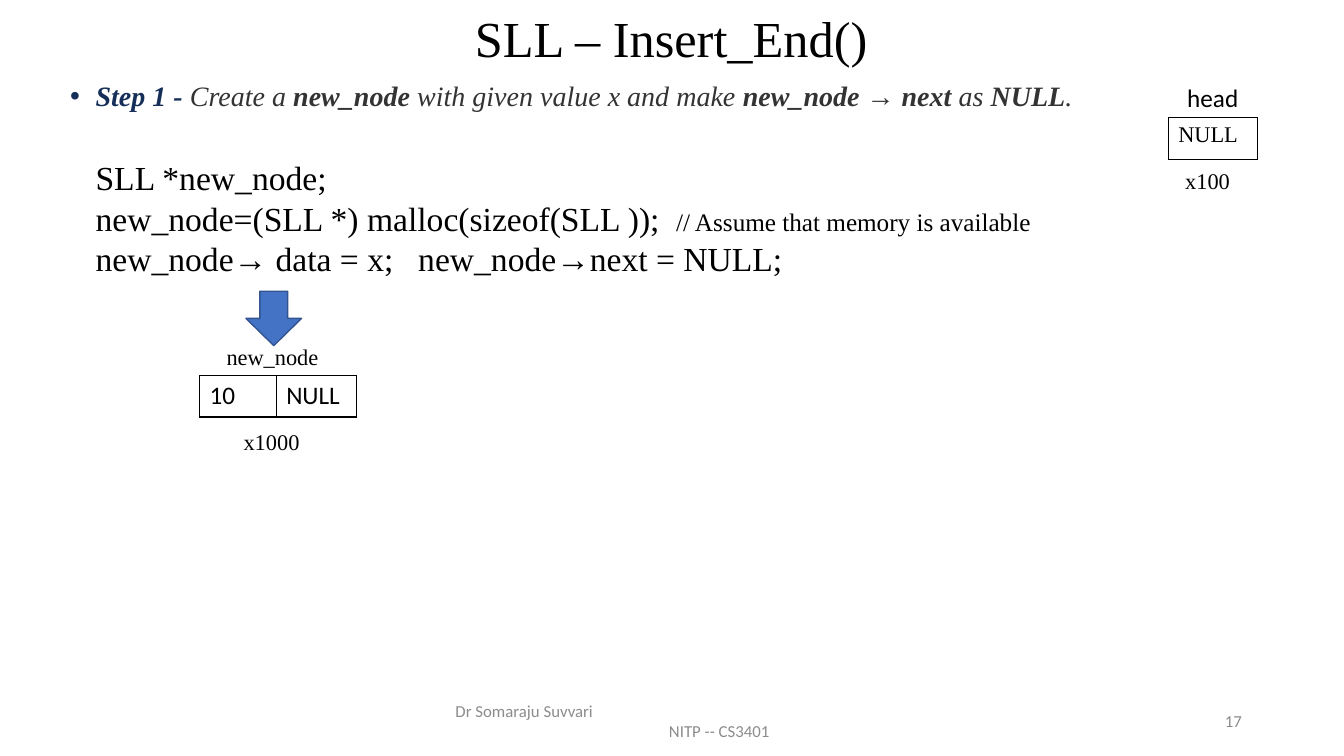
from lxml import etree
from pptx import Presentation
from pptx.dml.color import RGBColor
from pptx.enum.shapes import MSO_SHAPE
from pptx.enum.text import MSO_ANCHOR, PP_ALIGN
from pptx.oxml.ns import qn
from pptx.util import Cm, Pt

LEFT, CENTER = PP_ALIGN.LEFT, PP_ALIGN.CENTER
RIGHT, JUSTIFY = PP_ALIGN.RIGHT, PP_ALIGN.JUSTIFY
TOP, MIDDLE = MSO_ANCHOR.TOP, MSO_ANCHOR.MIDDLE
DOWN_ARROW = MSO_SHAPE.DOWN_ARROW
BLACK = RGBColor(0x00, 0x00, 0x00)
NAVY = RGBColor(0x16, 0x2F, 0x59)
CHARCOAL = RGBColor(0x33, 0x33, 0x33)
GREY = RGBColor(0x8C, 0x8C, 0x8C)
BLUE = RGBColor(0x44, 0x72, 0xC4)
DARK_BLUE = RGBColor(0x32, 0x54, 0x91)
SERIF, SANS = "Times New Roman", "Calibri"

# A paragraph is a list of runs; a run is (text, format changes).
TITLE = [[("SLL – Insert_End()", {})]]
BOLD = {"bold": True}
STEP = [[
    ("Step 1 -\u00a0", {"bold": True, "color": NAVY}),
    ("Create a\u00a0", {}),
    ("new_node ", BOLD),
    ("with given value x and\u00a0make ", {}),
    ("new_node → next", BOLD),
    ("\u00a0as\u00a0", {}),
    ("NULL", BOLD),
    (".", {}),
]]
CODE = [
    [("SLL *new_node;", {})],
    [("new_node=(SLL *) malloc(sizeof(SLL ));\t", {}),
     ("// Assume that memory is available", {"size": 18})],
    [("new_node→ data = x;\tnew_node→next = NULL;", {})],
]
CODE_TABS = [None, 14.63, 8.13]
AUTHOR, COURSE, PAGE = "Dr Somaraju Suvvari", "NITP -- CS3401", "17"
COURSE_INDENT = 5.38

# Labels: text, box in cm, font, size
LABELS = [
    ("new_node", (5.46, 8.51, 2.87, 0.94), SERIF, 16),
    ("x1000", (5.89, 10.67, 1.98, 0.94), SERIF, 16),
    ("head", (29.67, 1.96, 2.03, 1.02), SANS, 18),
    ("x100", (29.62, 4.09, 2.11, 0.94), SERIF, 16),
]
# Nodes: left, top, cells as (text, width), font, size
NODES = [
    (5.03, 9.47, [("10", 1.93), ("NULL", 2.03)], SANS, 18),
    (29.44, 2.97, [("NULL", 2.26)], SERIF, 16),
]
NODE_HEIGHT = 1.04
ARROW_BOX = (6.2, 7.34, 1.4, 1.37)


def write(frame, text, font=SERIF, size=16, color=BLACK, italic=False,
          align=LEFT, spacing=None, before=0):
    """Fill a text frame with a string or with paragraphs of runs."""
    paragraphs = [[(text, {})]] if isinstance(text, str) else text
    for index, runs in enumerate(paragraphs):
        paragraph = frame.add_paragraph() if index else frame.paragraphs[0]
        paragraph.alignment = align
        paragraph.space_before = Pt(before)
        if spacing:
            paragraph.line_spacing = spacing
        for words, changes in runs:
            run = paragraph.add_run()
            run.text = words
            run.font.name = font
            run.font.size = Pt(changes.get("size", size))
            run.font.bold = changes.get("bold", False)
            run.font.italic = italic
            run.font.color.rgb = changes.get("color", color)


def add_text(box, text, anchor=TOP, **style):
    """Add a wrapping text box and return its paragraphs."""
    frame = slide.shapes.add_textbox(*map(Cm, box)).text_frame
    frame.word_wrap = True
    frame.vertical_anchor = anchor
    write(frame, text, **style)
    return frame.paragraphs


def indent(paragraph, margin, first=0):
    """Set the left margin and first-line indent; return the properties."""
    properties = paragraph._p.get_or_add_pPr()
    properties.set("marL", str(Cm(margin)))
    properties.set("indent", str(Cm(first)))
    return properties


def add_bullet(paragraph):
    """Give a paragraph a hanging round bullet."""
    properties = indent(paragraph, 0.64, -0.64)
    etree.SubElement(properties, qn("a:buFont"), typeface="Arial")
    etree.SubElement(properties, qn("a:buChar"), char="•")


def add_tab(paragraph, position):
    """Add one left tab stop."""
    stops = etree.SubElement(paragraph._p.get_or_add_pPr(), qn("a:tabLst"))
    etree.SubElement(stops, qn("a:tab"), pos=str(Cm(position)), algn="l")


def outline(cell):
    """Draw a thin black border on all sides of an unfilled cell."""
    properties = cell._tc.get_or_add_tcPr()
    for side in ("lnL", "lnR", "lnT", "lnB"):
        line = etree.SubElement(properties, qn("a:" + side), w=str(Pt(1)))
        fill = etree.SubElement(line, qn("a:solidFill"))
        etree.SubElement(fill, qn("a:srgbClr"), val=str(BLACK))
    cell.fill.background()


def add_node(left, top, cells, font, size):
    """Add a list node as a one-row table."""
    width = sum(cell_width for _, cell_width in cells)
    table = slide.shapes.add_table(
        1, len(cells), Cm(left), Cm(top), Cm(width), Cm(NODE_HEIGHT)).table
    table.first_row = table.horz_banding = False
    for column, (value, cell_width) in enumerate(cells):
        table.columns[column].width = Cm(cell_width)
        cell = table.cell(0, column)
        write(cell.text_frame, value, font=font, size=size)
        outline(cell)


presentation = Presentation()
presentation.slide_width, presentation.slide_height = Cm(33.87), Cm(19.05)
slide = presentation.slides.add_slide(presentation.slide_layouts[6])

add_text((2.31, 0.38, 29.21, 1.3), TITLE, anchor=MIDDLE, size=36,
         align=CENTER, spacing=0.9)
step = add_text((1.52, 1.96, 30.76, 15.21), STEP, size=20, color=CHARCOAL,
                italic=True, align=JUSTIFY, spacing=0.9, before=10)
add_bullet(step[0])

code_lines = add_text((2.16, 3.84, 26.87, 3.33), CODE, size=24)
for code_line, tab in zip(code_lines, CODE_TABS):
    if tab:
        add_tab(code_line, tab)

footer_style = {"anchor": MIDDLE, "font": SANS, "size": 12, "color": GREY}
footer = add_text((11.23, 17.65, 11.43, 1.02),
                  [[(AUTHOR, {})], [(COURSE, {})]], **footer_style)
indent(footer[1], COURSE_INDENT)
add_text((23.93, 17.65, 7.62, 1.02), PAGE, align=RIGHT, **footer_style)

for node in NODES:
    add_node(*node)
for label, box, label_font, label_size in LABELS:
    add_text(box, label, font=label_font, size=label_size)

arrow = slide.shapes.add_shape(DOWN_ARROW, *map(Cm, ARROW_BOX))
arrow.shadow.inherit = False
arrow.fill.solid()
arrow.fill.fore_color.rgb = BLUE
arrow.line.color.rgb = DARK_BLUE
arrow.line.width = Pt(1)

presentation.save("out.pptx")
